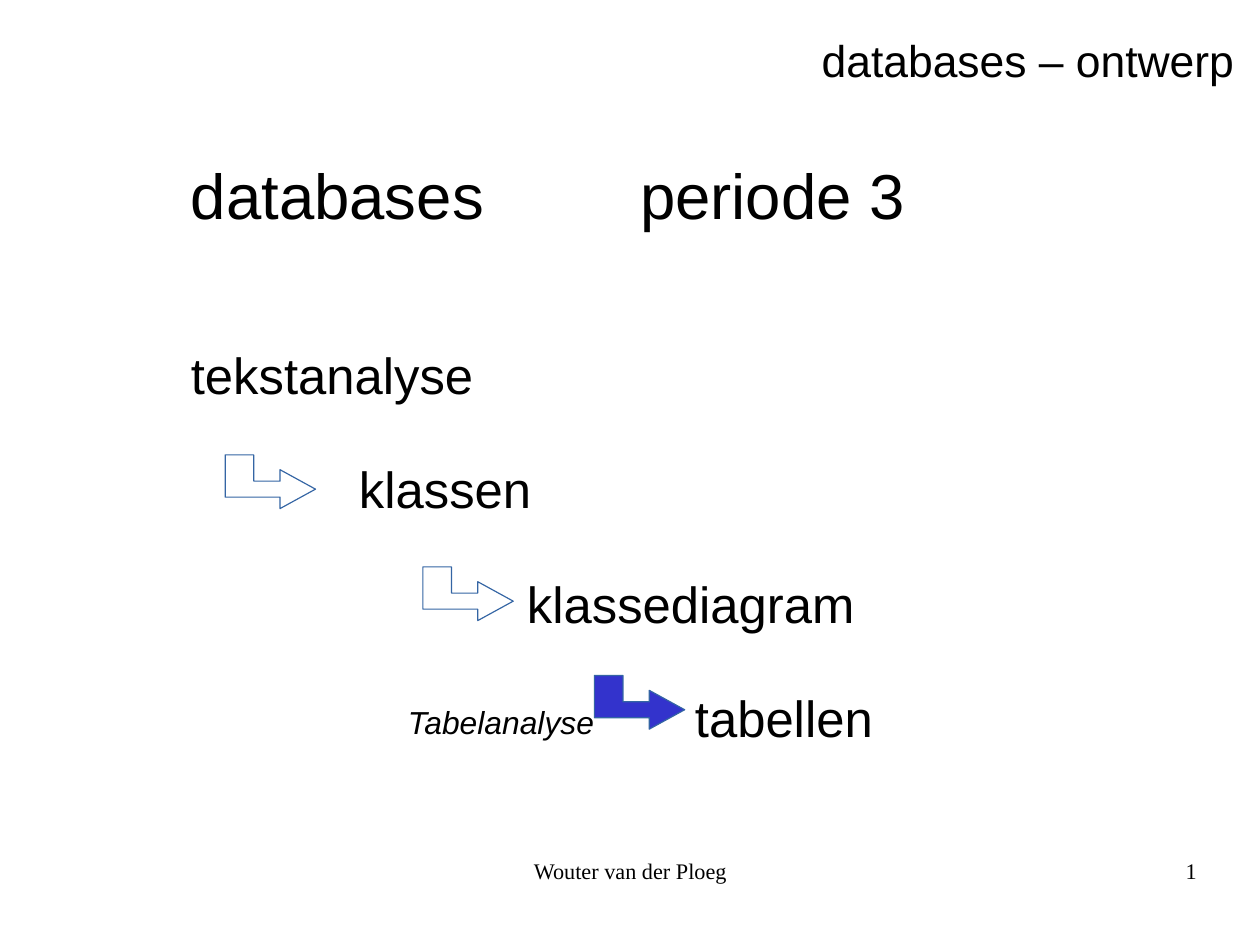
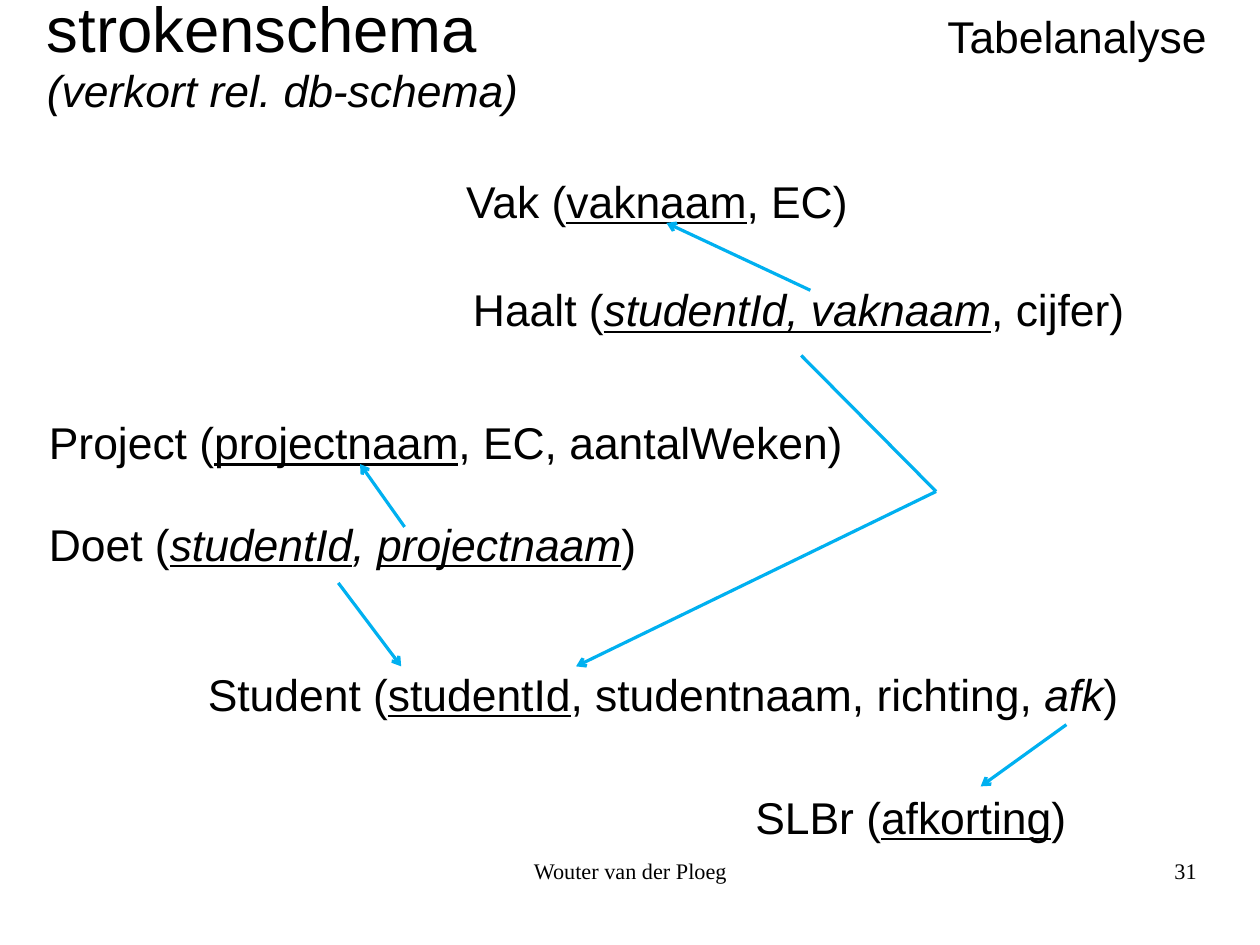
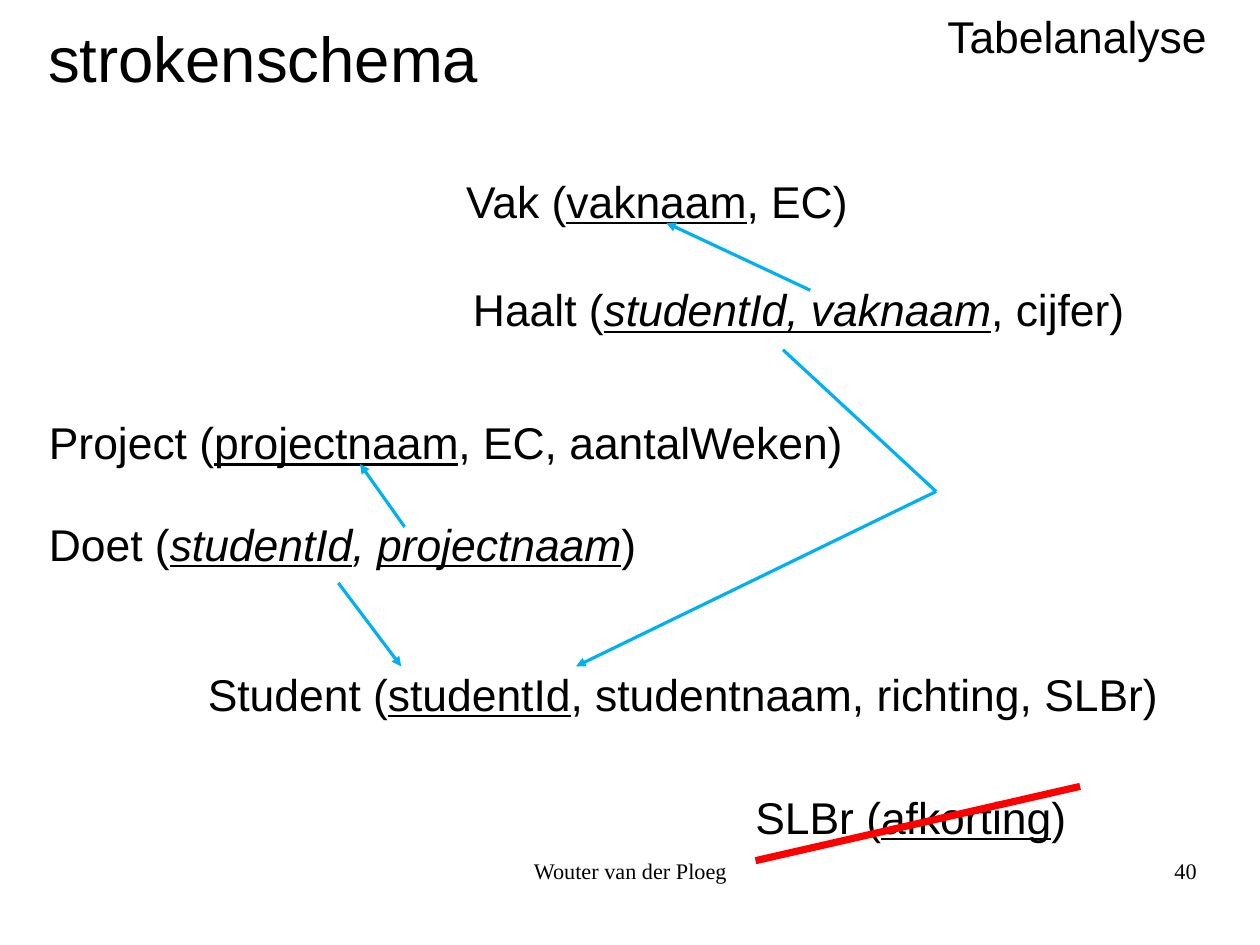
from lxml import etree
from pptx import Presentation
from pptx.dml.color import RGBColor
from pptx.enum.text import MSO_ANCHOR, MSO_AUTO_SIZE, PP_ALIGN
from pptx.oxml.ns import qn
from pptx.util import Cm, Inches, Pt

COLORS = {"text": "000000", "outline": "3465A4", "plain": "FFFFFF",
          "accent": "3333CC", "link": "00B0F0", "strike": "FF0000"}
FONT, FOOTER_FONT = "Arial", "Times New Roman"
TITLE, HEADER, STEP, NOTE, FOOTER = 40, 28, 32, 20, 14
INSETS = (0.1, 0.08, 0.1, 0.05)


def rgb(name):
    return RGBColor.from_string(COLORS[name])


def write(shape, at, paragraphs, size, font=FONT, align=PP_ALIGN.LEFT, insets=INSETS):
    """Place a shape and fill it; a run is (text, style), style holding i, u or a size."""
    shape.left, shape.top, shape.width, shape.height = map(Inches, at)
    tf = shape.text_frame
    margins = dict(zip(("left", "top", "right", "bottom"), map(Inches, insets)))
    for side, margin in margins.items():
        setattr(tf, f"margin_{side}", margin)
    for name, value in {"word_wrap": True, "auto_size": MSO_AUTO_SIZE.NONE,
                        "vertical_anchor": MSO_ANCHOR.TOP}.items():
        setattr(tf, name, value)
    for i, runs in enumerate(paragraphs):
        p = tf.add_paragraph() if i else tf.paragraphs[0]
        for name, value in {"alignment": align, "line_spacing": 0.94,
                            "space_before": Pt(0)}.items():
            setattr(p, name, value)
        for text, style in runs:
            r = p.add_run()
            r.text = text
            for name, value in {"name": font, "size": Pt(style.get("size", size)),
                                "italic": style.get("i", False),
                                "underline": style.get("u", False)}.items():
                setattr(r.font, name, value)
            r.font.color.rgb = rgb("text")
    return tf


PLAIN, KEY, FOREIGN, FOREIGN_KEY = {}, {"u": True}, {"i": True}, {"i": True, "u": True}

prs = Presentation()
prs.slide_width, prs.slide_height = Cm(28), Cm(21)
prs.element.sldSz.attrib.pop("type", None)
TITLE_AND_BODY, TITLE_ONLY = prs.slide_layouts[1], prs.slide_layouts[5]

# Overview slide
s = prs.slides.add_slide(TITLE_AND_BODY)
tf = write(s.shapes.title, (1.57, 1.34, 7, 0.8), [[("databases\tperiode 3", PLAIN)]], TITLE)
tabs = etree.SubElement(tf.paragraphs[0]._p.get_or_add_pPr(), qn("a:tabLst"))
etree.SubElement(tabs, qn("a:tab"), pos=str(Inches(3.93)), algn="l")

steps = ["tekstanalyse", "klassen", "klassediagram", "tabellen"]
tf = write(s.placeholders[1], (1.57, 2.97, 7, 3.6), [[(step, PLAIN)] for step in steps], STEP)
for i, p in enumerate(tf.paragraphs):
    if i:
        p.space_before = Pt(36)
    pPr = p._p.get_or_add_pPr()
    pPr.set("marL", str(Inches(1.47 * i)))
    pPr.set("indent", "0")
    etree.SubElement(pPr, qn("a:buNone"))

# Outline in hundredths of an inch
BENT_ARROW = [(25, 0), (25, 23), (48, 23), (48, 13), (79, 30),
              (48, 47), (48, 37), (0, 37)]
for left, top, fill in [(1.97, 3.98, "plain"), (3.7, 4.96, "plain"), (5.2, 5.91, "accent")]:
    builder = s.shapes.build_freeform(0, 0, scale=Inches(0.01))
    builder.add_line_segments(BENT_ARROW, close=True)
    sp = builder.convert_to_shape(Inches(left), Inches(top))
    sp.shadow.inherit = False
    sp.fill.solid()
    sp.fill.fore_color.rgb = rgb(fill)
    sp.line.color.rgb = rgb("outline")
    sp.line.width = Pt(0.75)

write(s.shapes.add_textbox(0, 0, 0, 0), (3.47, 6.1, 1.95, 0.53),
      [[("Tabelanalyse", FOREIGN)]], NOTE)

# Schema slides
RELATIONS = [
    (3.98, 1.48, 5.35, [("Vak (", PLAIN), ("vaknaam", KEY), (", EC)", PLAIN)]),
    (4.04, 2.43, 6.2, [("Haalt (", PLAIN), ("studentId, vaknaam", FOREIGN_KEY),
                       (", cijfer)", PLAIN)]),
    (0.33, 3.59, 7.5, [("Project (", PLAIN), ("projectnaam", KEY),
                       (", EC, aantalWeken)", PLAIN)]),
    (0.33, 4.48, 7.5, [("Doet (", PLAIN), ("studentId", FOREIGN_KEY), (", ", FOREIGN),
                       ("projectnaam", FOREIGN_KEY), (")", PLAIN)]),
    (6.51, 6.87, 3.4, [("SLBr (", PLAIN), ("afkorting", KEY), (")", PLAIN)]),
]
STUDENT = [("Student (", PLAIN), ("studentId", KEY)]
BEND = (8.19, 4.3)
REFERENCES = [((3.54, 4.61), (3.15, 4.06)), ((2.96, 5.1), (3.51, 5.83)),
              (BEND, (5.04, 5.83)), ((7.09, 2.54), (5.83, 1.95))]
SCHEMAS = [
    {"title": [[("strokenschema", PLAIN)],
               [("(verkort rel. db-schema)", {"i": True, "size": HEADER})]],
     "at": (0.31, -0.12, 4.8, 1.18),
     "student": [(", studentnaam, richting, ", PLAIN), ("afk", FOREIGN), (")", PLAIN)],
     "head": "arrow",
     "references": [((9.33, 6.34), (8.58, 6.88))],
     "plain_lines": [((7.01, 3.11), BEND, "link", 2)]},
    {"title": [[("strokenschema", PLAIN)]],
     "at": (0.32, 0.14, 4.8, 0.74),
     "student": [(", studentnaam, richting, SLBr)", PLAIN)],
     "head": "triangle",
     "references": [],
     "plain_lines": [((6.85, 3.06), BEND, "link", 2),
                     ((6.61, 7.53), (9.45, 6.88), "strike", 4.5)]},
]
for schema in SCHEMAS:
    s = prs.slides.add_slide(TITLE_ONLY)
    write(s.shapes.title, schema["at"], schema["title"], TITLE)
    student = (1.72, 5.79, 9.3, STUDENT + schema["student"])
    for left, top, width, runs in RELATIONS + [student]:
        write(s.shapes.add_textbox(0, 0, 0, 0), (left, top, width, 0.6), [runs], HEADER)

    lines = [(start, end, "link", 2, schema["head"])
             for start, end in REFERENCES + schema["references"]]
    lines += [(*line, None) for line in schema["plain_lines"]]
    for start, end, color, width, head in lines:
        line = s.shapes.add_connector(1, *map(Inches, start + end))
        line.line.color.rgb = rgb(color)
        line.line.width = Pt(width)
        if head:
            etree.SubElement(line.line._get_or_add_ln(), qn("a:tailEnd"), type=head)
        etree.SubElement(line._element.spPr, qn("a:effectLst"))

# Header, author and number on every slide
HEADERS = [("databases – ontwerp", (7.09, 0.25, 3.85, 0.53), "1"),
           ("Tabelanalyse", (8.19, 0.04, 2.6, 0.54), "31"),
           ("Tabelanalyse", (8.19, 0.04, 2.6, 0.54), "40")]
for s, (header, at, number) in zip(prs.slides, HEADERS):
    write(s.shapes.add_textbox(0, 0, 0, 0), at, [[(header, PLAIN)]], HEADER)
    for text, at, align in [("Wouter van der Ploeg", (3.77, 7.52, 3.49, 0.57), PP_ALIGN.CENTER),
                            (number, (7.9, 7.52, 2.57, 0.57), PP_ALIGN.RIGHT)]:
        write(s.shapes.add_textbox(0, 0, 0, 0), at, [[(text, PLAIN)]], FOOTER,
              FOOTER_FONT, align, (0, 0, 0, 0))

prs.save("out.pptx")
